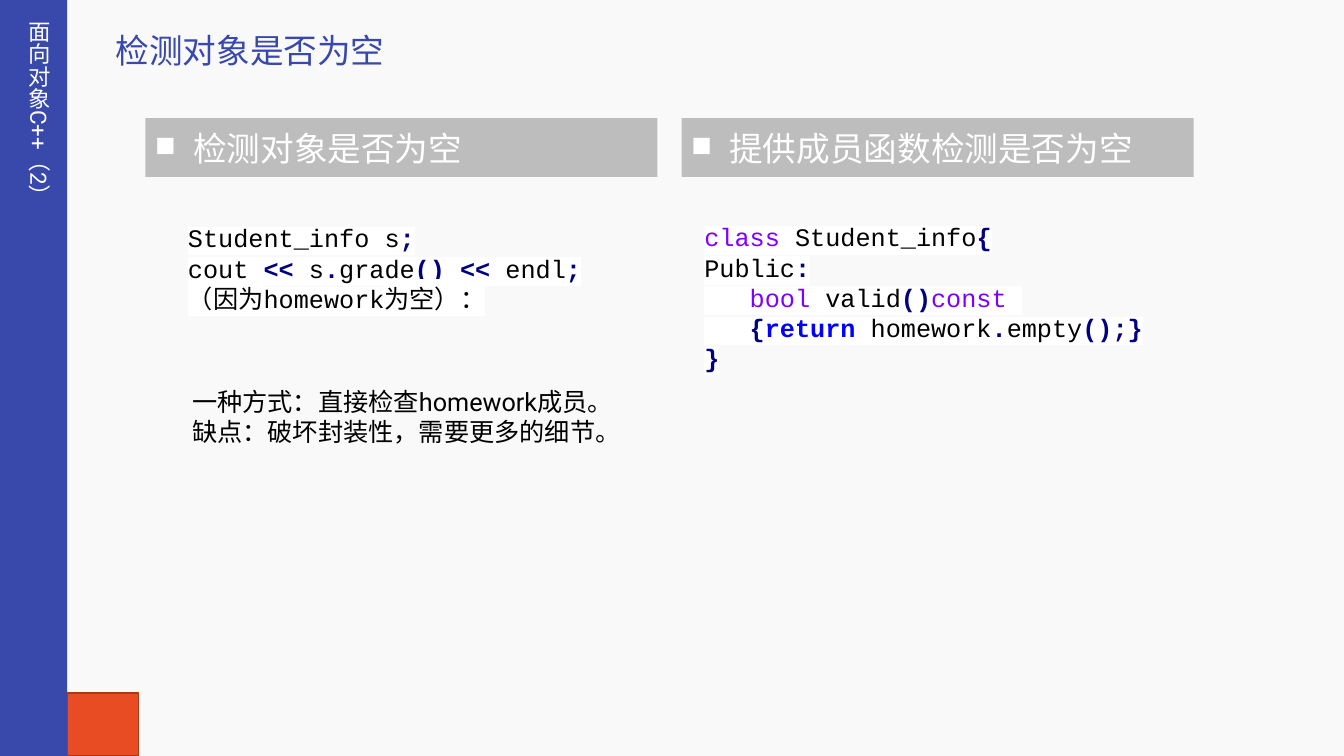
import pptx
import pptx.util
import pptx.dml.color
import pptx.enum.shapes
import pptx.enum.text
import pptx.oxml.ns
import lxml.etree

Pt = pptx.util.Pt
qn = pptx.oxml.ns.qn

COLORS = {
    "background": "F9F9F9", "indigo": "3949AB", "orange": "E84C22",
    "rust": "AC3819", "grey": "BDBDBD", "white": "FFFFFF", "black": "000000",
    "purple": "8000FF", "navy": "000080", "blue": "0000FF",
}
CJK_FONT = "Noto Sans CJK SC"
CODE_FONT = "Courier New"

# Code style: colour name, bold
PLAIN, MARK = ("black", False), ("navy", True)
TYPE, KEYWORD = ("purple", False), ("blue", True)

TITLE = "检测对象是否为空"
CHAPTER = "面向对象C++（2）"
HEADINGS = ["检测对象是否为空", "提供成员函数检测是否为空"]
REMARKS = ["一种方式：直接检查homework成员。", "缺点：破坏封装性，需要更多的细节。"]
USAGE_CODE = [
    [("Student_info s", PLAIN), (";", MARK)],
    [("cout ", PLAIN), ("<<", MARK), (" s", PLAIN), (".", MARK), ("grade", PLAIN),
     ("()", MARK), (" ", PLAIN), ("<<", MARK), (" endl", PLAIN), (";", MARK)],
    [("（因为homework为空）：", PLAIN)],
]
CLASS_CODE = [
    [("class", TYPE), (" Student_info", PLAIN), ("{", MARK)],
    [("Public", PLAIN), (":", MARK)],
    [("   bool", TYPE), (" valid", PLAIN), ("()", MARK), ("const", TYPE), (" ", PLAIN)],
    [("   {", MARK), ("return", KEYWORD), (" homework", PLAIN), (".", MARK),
     ("empty", PLAIN), ("();}", MARK)],
    [("}", MARK)],
]

# Left, top, width, height in points
CHAPTER_BAR = (0, 0, 48, 540)
CORNER_BLOCK = (48, 495, 51, 45)
TITLE_BOX = (75.6, 18, 208, 36)
CHAPTER_BOX = (7.2, 7.8, 34, 144)
HEADING_BOX = (103.8, 84.4, 365.8, 42)
HEADING_PITCH = 383
CLASS_BOX = (496, 154.8, 358.6, 116.6)
USAGE_BOX = (127.2, 155.5, 319.7, 72.7)
REMARKS_BOX = (130.2, 272.2, 324, 51)


def color(name):
    return pptx.dml.color.RGBColor.from_string(COLORS[name])


def add_block(slide, box, fill, line=None, kind="RECTANGLE"):
    shape_type = getattr(pptx.enum.shapes.MSO_SHAPE, kind)
    shape = slide.shapes.add_shape(shape_type, *map(Pt, box))
    shape.shadow.inherit = False
    shape.fill.solid()
    shape.fill.fore_color.rgb = color(fill)
    if line:
        shape.line.color.rgb = color(line)
        shape.line.width = Pt(1)
    else:
        shape.line.fill.background()
    return shape


def add_bullet(paragraph, indent=27):
    properties = paragraph._p.get_or_add_pPr()
    properties.set("marL", str(Pt(indent)))
    properties.set("indent", str(-Pt(indent)))
    lxml.etree.SubElement(properties, qn("a:buFont"), typeface=CODE_FONT)
    lxml.etree.SubElement(properties, qn("a:buChar"), char="■")


def write_text(shape, lines, font, size, text_color="black", highlight=None,
               bullet=False, wrap=True):
    """Fill a shape; a line is a string or a list of (text, (colour, bold))."""
    frame = shape.text_frame
    frame.word_wrap = wrap
    for index, line in enumerate(lines):
        paragraph = frame.paragraphs[0] if index == 0 else frame.add_paragraph()
        paragraph.alignment = pptx.enum.text.PP_ALIGN.LEFT
        if bullet:
            add_bullet(paragraph)
        pieces = [(line, (text_color, False))] if isinstance(line, str) else line
        for text, (piece_color, bold) in pieces:
            run = paragraph.add_run()
            run.text = text
            run.font.size = Pt(size)
            run.font.bold = bold
            run.font.color.rgb = color(piece_color)
            run.font.name = font
            latin = run._r.rPr.find(qn("a:latin"))
            latin.addnext(latin.makeelement(qn("a:ea"), {"typeface": CJK_FONT}))
            if highlight:
                marker = latin.makeelement(qn("a:highlight"), {})
                lxml.etree.SubElement(marker, qn("a:srgbClr"), val=COLORS[highlight])
                latin.addprevious(marker)


def add_text(slide, box, lines, **text_format):
    shape = slide.shapes.add_textbox(*map(Pt, box))
    write_text(shape, lines, **text_format)
    return shape


def main():
    presentation = pptx.Presentation()
    presentation.slide_width, presentation.slide_height = Pt(960), Pt(540)
    slide = presentation.slides.add_slide(presentation.slide_layouts[6])
    slide.background.fill.solid()
    slide.background.fill.fore_color.rgb = color("background")

    add_block(slide, CORNER_BLOCK, "orange", line="rust")
    add_text(slide, TITLE_BOX, [TITLE], font="Roboto", size=24,
             text_color="indigo", wrap=False)
    add_block(slide, CHAPTER_BAR, "indigo")
    chapter = add_text(slide, CHAPTER_BOX, [CHAPTER], font="Roboto", size=16,
                       text_color="white", wrap=False)
    chapter.text_frame._txBody.bodyPr.set("vert", "eaVert")

    left, top, width, height = HEADING_BOX
    for column, heading in enumerate(HEADINGS):
        box = (left + column * HEADING_PITCH, top, width, height)
        shape = add_block(slide, box, "grey", kind="ROUND_2_SAME_RECTANGLE")
        shape.adjustments[0], shape.adjustments[1] = 0.01, 0
        shape.text_frame.vertical_anchor = pptx.enum.text.MSO_ANCHOR.MIDDLE
        write_text(shape, [heading], font=CJK_FONT, size=24,
                   text_color="white", bullet=True)

    for box, code in ((CLASS_BOX, CLASS_CODE), (USAGE_BOX, USAGE_CODE)):
        add_text(slide, box, code, font=CODE_FONT, size=18, highlight="white")
    add_text(slide, REMARKS_BOX, REMARKS, font="Roboto", size=18)

    presentation.save("out.pptx")


if __name__ == "__main__":
    main()
